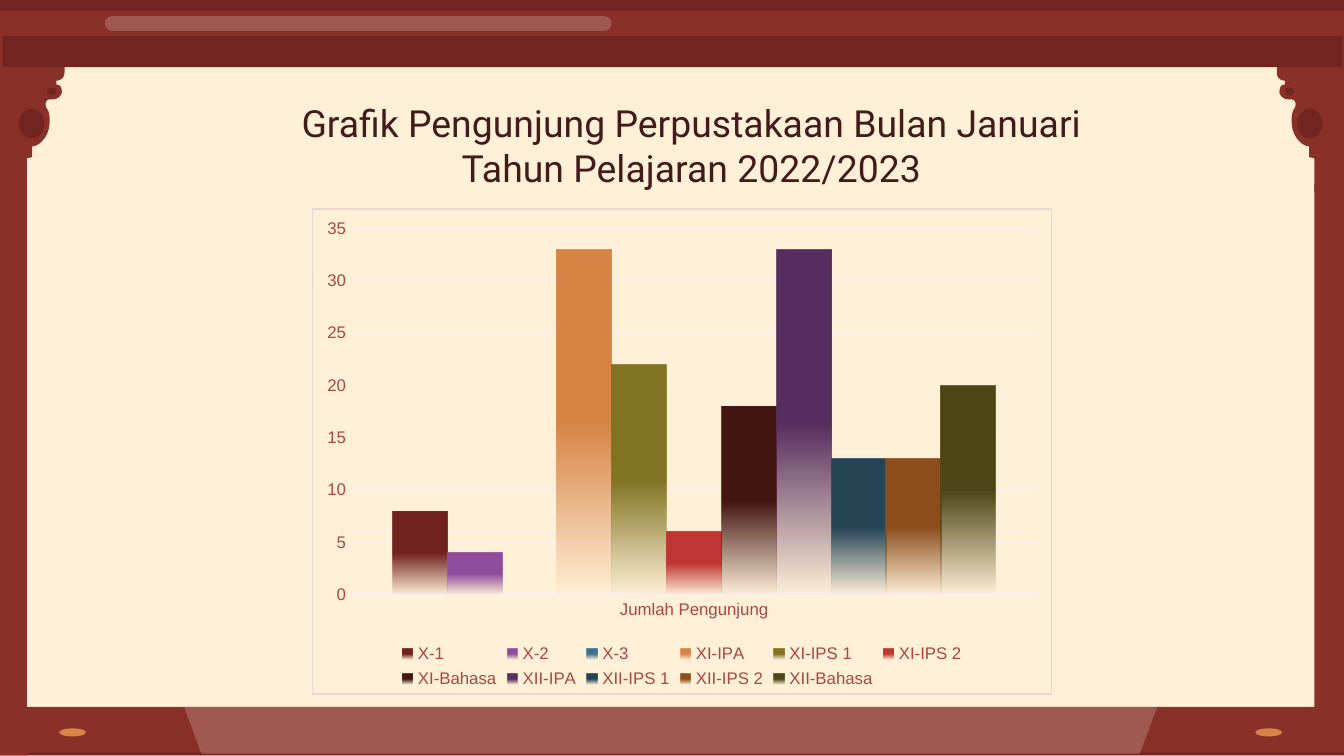
from lxml import etree
from pptx import Presentation
from pptx.chart.data import CategoryChartData
from pptx.dml.color import RGBColor
from pptx.enum.chart import XL_CHART_TYPE, XL_LEGEND_POSITION, XL_TICK_MARK
from pptx.enum.shapes import MSO_SHAPE
from pptx.enum.text import MSO_ANCHOR, PP_ALIGN
from pptx.oxml import parse_xml
from pptx.oxml.ns import nsdecls, qn
from pptx.util import Inches, Pt

RECTANGLE = MSO_SHAPE.RECTANGLE
ROUNDED = MSO_SHAPE.ROUNDED_RECTANGLE
OVAL = MSO_SHAPE.OVAL
COLUMNS = XL_CHART_TYPE.COLUMN_CLUSTERED
BOTTOM = XL_LEGEND_POSITION.BOTTOM
NO_TICK = XL_TICK_MARK.NONE
MIDDLE = MSO_ANCHOR.MIDDLE
CENTER = PP_ALIGN.CENTER

RED, DARK, GOLD, LIGHT = "893128", "722420", "D88445", "FFFCF7"
CREAM, LABEL, INK = "FFF0D7", "AB4643", "421B1A"
MIRROR_WIDTH = 9.98


def rgb(value):
    return RGBColor.from_string(value)


def paint(shape, color, opacity=100):
    shape.shadow.inherit = False
    shape.line.fill.background()
    shape.fill.solid()
    shape.fill.fore_color.rgb = rgb(color)
    if opacity < 100:
        fill_color = shape._element.spPr.find(qn("a:solidFill"))[0]
        etree.SubElement(fill_color, qn("a:alpha")).set("val", str(opacity * 1000))


presentation = Presentation()
presentation.slide_width = Inches(10)
presentation.slide_height = Inches(10) * 9 // 16
slide = presentation.slides.add_slide(presentation.slide_layouts[6])
slide.background.fill.solid()
slide.background.fill.fore_color.rgb = rgb(CREAM)
shapes = slide.shapes

frame_parts = [
    (RECTANGLE, 0.14, 5.26, 9.86, 0.35, RED, 100),
    (RECTANGLE, 0, 0.04, 10, 0.28, RED, 100),
    (RECTANGLE, 0, 0, 10, 0.08, DARK, 100),
    (ROUNDED, 0.78, 0.12, 3.77, 0.11, LIGHT, 20),
    (RECTANGLE, 0, 5.6, 10, 0.02, DARK, 100),
    (RECTANGLE, 9.78, 0.27, 0.22, 5.05, RED, 100),
    (RECTANGLE, 0, 0.27, 0.2, 5.35, RED, 100),
]
for kind, left, top, width, height, color, opacity in frame_parts:
    part = shapes.add_shape(kind, Inches(left), Inches(top), Inches(width), Inches(height))
    if kind == ROUNDED:
        part.adjustments[0] = 0.5
    paint(part, color, opacity)

builder = shapes.build_freeform(Inches(1.37), Inches(5.26))
builder.add_line_segments([(Inches(x), Inches(y)) for x, y in [(1.5, 5.61), (8.48, 5.61), (8.61, 5.26)]])
paint(builder.convert_to_shape(), LIGHT, 20)

corner_segments = [
    (0, 0.49), (0, 1.43), (0.2, 1.43), (0.2, 1.37),
    (0.14, 1.37, 0.12, 1.17, 0.24, 1.17), (0.24, 1.09),
    (0.28, 1.09, 0.37, 1.03, 0.37, 0.9),
    (0.37, 0.85, 0.36, 0.82, 0.35, 0.81),
    (0.33, 0.78, 0.34, 0.74, 0.37, 0.74), (0.38, 0.74),
    (0.43, 0.74, 0.45, 0.72, 0.46, 0.69),
    (0.46, 0.67, 0.46, 0.63, 0.42, 0.63), (0.42, 0.6),
    (0.45, 0.6, 0.48, 0.58, 0.48, 0.54),
]
corner_points = [(0.48, 0.49)]
for segment in corner_segments:
    if len(segment) == 2:
        corner_points.append(segment)
        continue
    x0, y0 = corner_points[-1]
    x1, y1, x2, y2, x3, y3 = segment
    for step in range(1, 11):
        t = step / 10
        a, b, c, d = (1 - t) ** 3, 3 * t * (1 - t) ** 2, 3 * t * t * (1 - t), t ** 3
        corner_points.append((a * x0 + b * x1 + c * x2 + d * x3, a * y0 + b * y1 + c * y2 + d * y3))

ornaments = [
    (0.14, 0.81, 0.19, 0.22, DARK),
    (0.35, 0.65, 0.07, 0.06, DARK),
    (0.44, 5.42, 0.2, 0.06, GOLD),
]
for mirrored in (False, True):
    outline = [(Inches(MIRROR_WIDTH - x if mirrored else x), Inches(y)) for x, y in corner_points]
    builder = shapes.build_freeform(*outline[0])
    builder.add_line_segments(outline[1:])
    paint(builder.convert_to_shape(), RED)
    for left, top, width, height, color in ornaments:
        if mirrored:
            left = MIRROR_WIDTH - left - width
        oval = shapes.add_shape(OVAL, Inches(left), Inches(top), Inches(width), Inches(height))
        paint(oval, color)

beam = shapes.add_shape(RECTANGLE, Inches(0.02), Inches(0.27), Inches(9.97), Inches(0.23))
paint(beam, DARK)

title = shapes.add_textbox(Inches(2.05), Inches(1.02), Inches(6.19), Inches(0.12))
text_frame = title.text_frame
text_frame.word_wrap = True
text_frame.vertical_anchor = MIDDLE
text_frame.margin_left = text_frame.margin_right = Inches(0.1)
text_frame.margin_top = text_frame.margin_bottom = Inches(0.1)
paragraph = text_frame.paragraphs[0]
paragraph.alignment = CENTER
run = paragraph.add_run()
run.text = "Grafik Pengunjung Perpustakaan Bulan Januari Tahun Pelajaran 2022/2023"
run.font.name = "Roboto"
run.font.size = Pt(20)
run.font.color.rgb = rgb(INK)

visitors = [
    ("X-1", 8, "722420"),
    ("X-2", 4, "904D9E"),
    ("X-3", 0, "3D7391"),
    ("XI-IPA", 33, "D88445"),
    ("XI-IPS 1", 22, "827423"),
    ("XI-IPS 2", 6, "C13633"),
    ("XI-Bahasa", 18, "441613"),
    ("XII-IPA", 33, "562E5F"),
    ("XII-IPS 1", 13, "254557"),
    ("XII-IPS 2", 13, "8D4E1E"),
    ("XII-Bahasa", 20, "4E4615"),
]
chart_data = CategoryChartData()
chart_data.categories = ["Jumlah Pengunjung"]
for name, count, color in visitors:
    chart_data.add_series(name, [count])
chart = shapes.add_chart(
    COLUMNS, Inches(2.32), Inches(1.55), Inches(5.51), Inches(3.62), chart_data
).chart
chart.has_title = False
chart.has_legend = True
chart.legend.position = BOTTOM
chart.legend.include_in_layout = False
chart.font.size = Pt(10)
chart.font.name = "Arial"
chart.font.color.rgb = rgb(INK)

for axis in (chart.category_axis, chart.value_axis):
    axis.major_tick_mark = axis.minor_tick_mark = NO_TICK
    axis.format.line.fill.background()
for font in (chart.legend.font, chart.category_axis.tick_labels.font, chart.value_axis.tick_labels.font):
    font.size = Pt(9)
    font.name = "Arial"
    font.color.rgb = rgb(LABEL)

chart.value_axis.minimum_scale = 0
chart.value_axis.maximum_scale = 35
chart.value_axis.major_unit = 5
gridline = chart.value_axis.major_gridlines.format.line
gridline.color.rgb = rgb("F9F0F0")
gridline.width = Pt(0.75)

plot = chart.plots[0]
plot.gap_width = 150
plot.overlap = 0
plot.vary_by_categories = False
for series, (name, count, color) in zip(plot.series, visitors):
    series.invert_if_negative = False
    fill = series.format.fill
    fill.gradient()
    fill.gradient_angle = 270
    for stop, position in zip(fill.gradient_stops, (0.5, 1)):
        stop.position = position
        stop.color.rgb = rgb(color)
    faded_color = series._element.findall(".//" + qn("a:srgbClr"))[-1]
    etree.SubElement(faded_color, qn("a:alpha")).set("val", "0")

chart_frame = parse_xml(
    f'<c:spPr {nsdecls("c", "a")}>'
    f'<a:solidFill><a:srgbClr val="{CREAM}"/></a:solidFill>'
    f'<a:ln w="{Pt(0.75)}"><a:solidFill><a:srgbClr val="EDD3D2"/></a:solidFill></a:ln>'
    "</c:spPr>"
)
chart.element.find(qn("c:chart")).addnext(chart_frame)

presentation.save("out.pptx")
